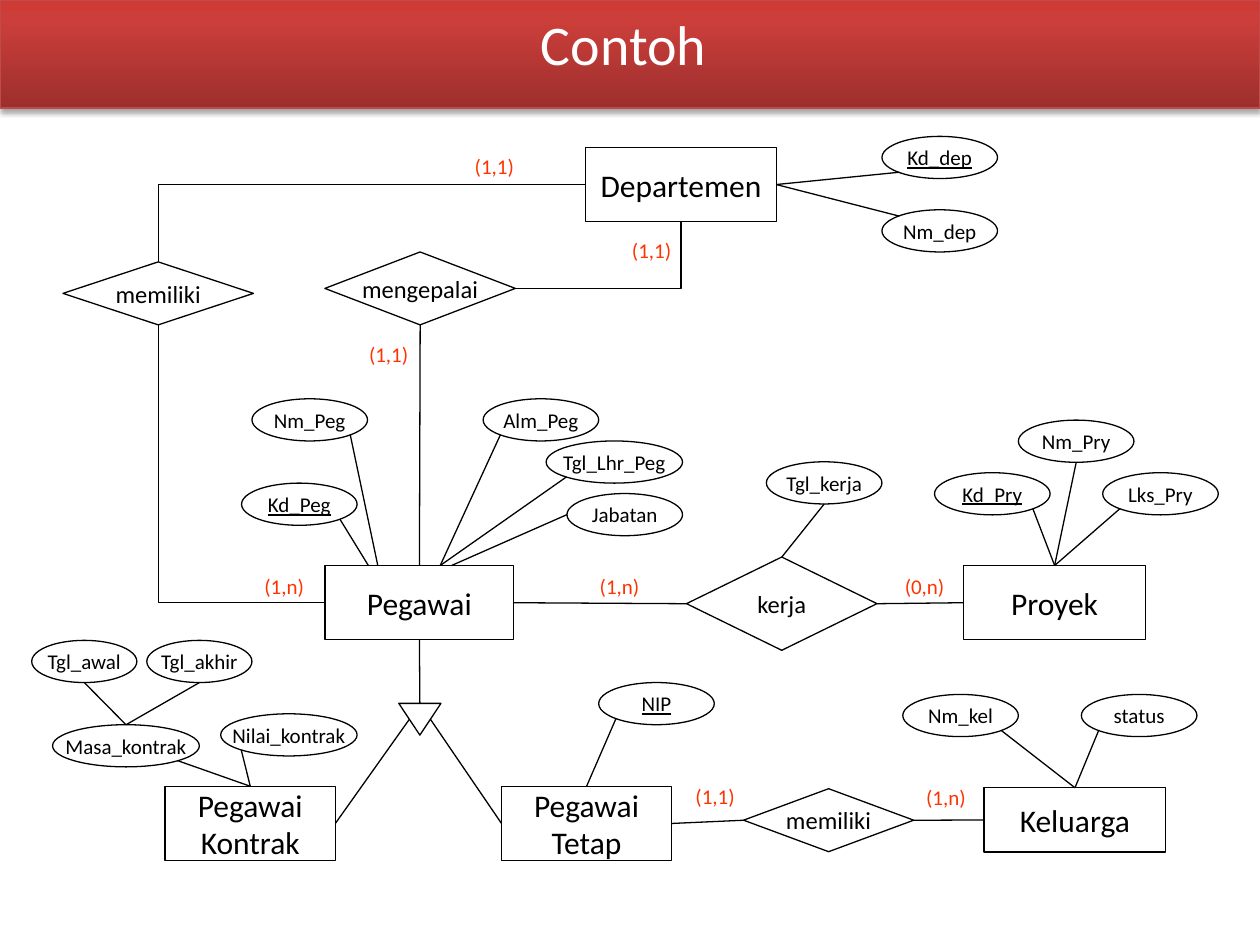
import copy
from dataclasses import dataclass

import lxml.etree
import pptx
import pptx.dml.color
import pptx.enum.shapes
import pptx.enum.text
import pptx.oxml
import pptx.util

Cm = pptx.util.Cm
Pt = pptx.util.Pt
Kind = pptx.enum.shapes.MSO_SHAPE
Join = pptx.enum.shapes.MSO_CONNECTOR
Mid = pptx.enum.text.MSO_ANCHOR.MIDDLE
Top = pptx.enum.text.MSO_ANCHOR.TOP
Align = pptx.enum.text.PP_ALIGN
SPACE = "http://schemas.openxmlformats.org/drawingml/2006/main"


@dataclass(frozen=True)
class Theme:
    font: str = "Calibri"
    ink: str = "000000"
    mark: str = "FF3300"
    pale: str = "FFFFFF"
    edge: str = "BF4C48"
    fade: tuple = ((0, "9C2F2D"), (0.8, "CB3E3A"), (1, "CE3B37"))
    head: int = 32
    big: int = 18
    mid: int = 14
    small: int = 12
    line: float = 0.75


def tint(code):
    return pptx.dml.color.RGBColor.from_string(code)


def apply(thing, values):
    for name, value in values.items():
        setattr(thing, name, value)


class Chart:
    """Draw the parts of an entity diagram on one slide."""

    sides = {"t": (0.5, 0), "b": (0.5, 1), "l": (0, 0.5), "r": (1, 0.5),
             "tl": (0.15, 0.15), "bl": (0.15, 0.85), "br": (0.85, 0.85)}

    def __init__(self, slide, theme):
        self.slide, self.theme = slide, theme
        self.nodes = {}

    def letter(self, shape, text, size, code, align=Align.CENTER, under=False, **frame):
        apply(shape.text_frame, frame)
        shape.text_frame.text = text
        for par in shape.text_frame.paragraphs:
            par.alignment = align
            for run in par.runs:
                apply(run.font, {"name": self.theme.font, "size": Pt(size), "underline": under})
                run.font.color.rgb = tint(code)

    def stroke(self, shape, code):
        shape.line.color.rgb = tint(code)
        shape.line.width = Pt(self.theme.line)

    def shape(self, kind, box):
        shape = self.slide.shapes.add_shape(kind, *map(Cm, box))
        shape.shadow.inherit = False
        shape.fill.background()
        self.stroke(shape, self.theme.ink)
        return shape

    def node(self, kind, key, box, size, text=None, under=False):
        shape = self.shape(kind, box)
        self.nodes[key] = shape
        if text != "":
            self.letter(shape, text or key, size, self.theme.ink, under=under,
                        word_wrap=False, vertical_anchor=Mid)

    def label(self, text, left, top):
        box = self.slide.shapes.add_textbox(*map(Cm, (left, top, 1.5, 0.76)))
        self.letter(box, text, self.theme.small, self.theme.mark, Align.LEFT, word_wrap=True)

    def spot(self, key, side):
        node = self.nodes[key]
        across, down = self.sides.get(side, side)
        return round(node.left + node.width * across), round(node.top + node.height * down)

    def link(self, start, side, end, port, bent=False):
        kind = Join.ELBOW if bent else Join.STRAIGHT
        wire = self.slide.shapes.add_connector(kind, *self.spot(start, side), *self.spot(end, port))
        self.stroke(wire, self.theme.ink)
        props = wire._element.spPr
        if bent:
            props.find(f"{{{SPACE}}}prstGeom").set("prst", "bentConnector2")
        lxml.etree.SubElement(props, f"{{{SPACE}}}effectLst")

    def banner(self, text):
        bar = self.shape(Kind.RECTANGLE, (0, 0, 25.4, 2.18))
        self.stroke(bar, self.theme.edge)
        bar.fill.gradient()
        bar.fill.gradient_angle = 90
        stops = bar._element.spPr.find(f".//{{{SPACE}}}gsLst")
        stops.append(copy.deepcopy(stops[0]))
        for stop, (place, code) in zip(bar.fill.gradient_stops, self.theme.fade):
            stop.position = place
            stop.color.rgb = tint(code)
        bar._element.spPr.find(f"{{{SPACE}}}effectLst").append(pptx.oxml.parse_xml(
            f'<a:outerShdw xmlns:a="{SPACE}" blurRad="40000" dist="23000" dir="5400000" '
            'rotWithShape="0"><a:srgbClr val="000000"><a:alpha val="35000"/></a:srgbClr>'
            '</a:outerShdw>'))
        self.letter(bar, text, self.theme.head, self.theme.pale,
                    vertical_anchor=Top, margin_top=Cm(0.2))


BOXES = [
    ("Proyek", 19.43, 11.4, 3.66, 1.5), ("Pegawai", 6.55, 11.4, 3.81, 1.5),
    ("Departemen", 11.81, 2.97, 3.84, 1.5), ("Keluarga", 19.84, 15.88, 3.66, 1.3),
    ("Pegawai\nTetap", 10.11, 15.85, 3.43, 1.5), ("Pegawai\nKontrak", 3.33, 15.85, 3.43, 1.5),
]
BONDS = [
    ("mengepalai", "mengepalai", 6.55, 5.08, 3.84, 1.47), ("kerja", "kerja", 13.84, 11.23, 3.84, 1.88),
    ("memiliki", "memiliki", 1.27, 5.28, 3.84, 1.27), ("family", "memiliki", 14.99, 15.9, 3.43, 1.27),
]
WIDE = {"Tgl_Lhr_Peg": 2.75, "Nilai_kontrak": 2.75, "Masa_kontrak": 2.96,
        "Tgl_awal": 2.12, "Tgl_akhir": 2.12}
KEYS = {"Kd_dep", "Kd_Pry", "Kd_Peg", "NIP"}
TRAITS = [
    ("Kd_dep", 17.78, 2.75), ("Nm_dep", 17.78, 4.23), ("Kd_Pry", 18.84, 9.53),
    ("Nm_Pry", 20.53, 8.47), ("Lks_Pry", 22.23, 9.53), ("NIP", 12.07, 13.76),
    ("Tgl_kerja", 15.45, 9.31), ("Nm_kel", 18.2, 14), ("status", 21.8, 14),
    ("Alm_Peg", 9.74, 8.04), ("Jabatan", 11.43, 9.95), ("Tgl_Lhr_Peg", 11.01, 8.89),
    ("Kd_Peg", 4.87, 9.74), ("Nm_Peg", 5.08, 8.04), ("Masa_kontrak", 1.06, 14.61),
    ("Nilai_kontrak", 4.45, 14.39), ("Tgl_awal", 0.64, 12.91), ("Tgl_akhir", 2.96, 12.91),
]
LABELS = [
    ("(1,1)", 12.49, 4.66), ("(1,1)", 9.32, 2.97), ("(1,n)", 5.08, 11.43), ("(1,n)", 11.84, 11.43),
    ("(0,n)", 17.99, 11.43), ("(1,n)", 18.42, 15.7), ("(1,1)", 13.77, 15.68), ("(1,1)", 7.19, 6.77),
]
LINKS = [
    ("mengepalai", "b", "Pegawai", "t"), ("Pegawai", "r", "kerja", "l"), ("kerja", "r", "Proyek", "l"),
    ("Nm_dep", "tl", "Departemen", "r"), ("Kd_dep", "bl", "Departemen", "r"),
    ("NIP", "bl", "Pegawai\nTetap", "t"), ("Kd_Pry", "br", "Proyek", "t"),
    ("Lks_Pry", "bl", "Proyek", "t"), ("Nm_Pry", "b", "Proyek", "t"), ("kerja", "t", "Tgl_kerja", "b"),
    ("family", "r", "Keluarga", "l"), ("Nm_kel", "br", "Keluarga", "t"),
    ("status", "bl", "Keluarga", "t"), ("family", "l", "Pegawai\nTetap", "r"),
    ("Pegawai", "b", "split", "t"), ("split", (0.75, 0.5), "Pegawai\nTetap", "l"),
    ("split", (0.25, 0.5), "Pegawai\nKontrak", "r"), ("Jabatan", "l", "Pegawai", (0.67, 0)),
    ("Tgl_Lhr_Peg", "bl", "Pegawai", (0.61, 0)), ("Alm_Peg", "bl", "Pegawai", (0.61, 0)),
    ("Kd_Peg", "br", "Pegawai", (0.23, 0)), ("Nm_Peg", "br", "Pegawai", (0.28, 0)),
    ("Masa_kontrak", "br", "Pegawai\nKontrak", "t"), ("Nilai_kontrak", "bl", "Pegawai\nKontrak", "t"),
    ("Tgl_awal", "b", "Masa_kontrak", "t"), ("Tgl_akhir", "b", "Masa_kontrak", "t"),
]
BENDS = [
    ("Pegawai", "l", "memiliki", "b"), ("Departemen", "l", "memiliki", "t"),
    ("mengepalai", "r", "Departemen", "b"),
]


def main():
    deck = pptx.Presentation()
    apply(deck, {"slide_width": Cm(25.4), "slide_height": Cm(19.05)})
    theme = Theme()
    chart = Chart(deck.slides.add_slide(deck.slide_layouts[6]), theme)
    chart.banner("Contoh ")
    for name, *box in BOXES:
        chart.node(Kind.RECTANGLE, name, box, theme.big)
    for key, text, *box in BONDS:
        chart.node(Kind.DIAMOND, key, box, theme.mid, text)
    for name, left, top in TRAITS:
        box = (left, top, WIDE.get(name, 2.33), 0.85)
        chart.node(Kind.OVAL, name, box, theme.small, under=name in KEYS)
    chart.node(Kind.FLOWCHART_MERGE, "split", (8.04, 14.18, 0.85, 0.64), theme.small, "")
    for link in LINKS:
        chart.link(*link)
    for bend in BENDS:
        chart.link(*bend, bent=True)
    for label in LABELS:
        chart.label(*label)
    deck.save("out.pptx")


if __name__ == "__main__":
    main()
